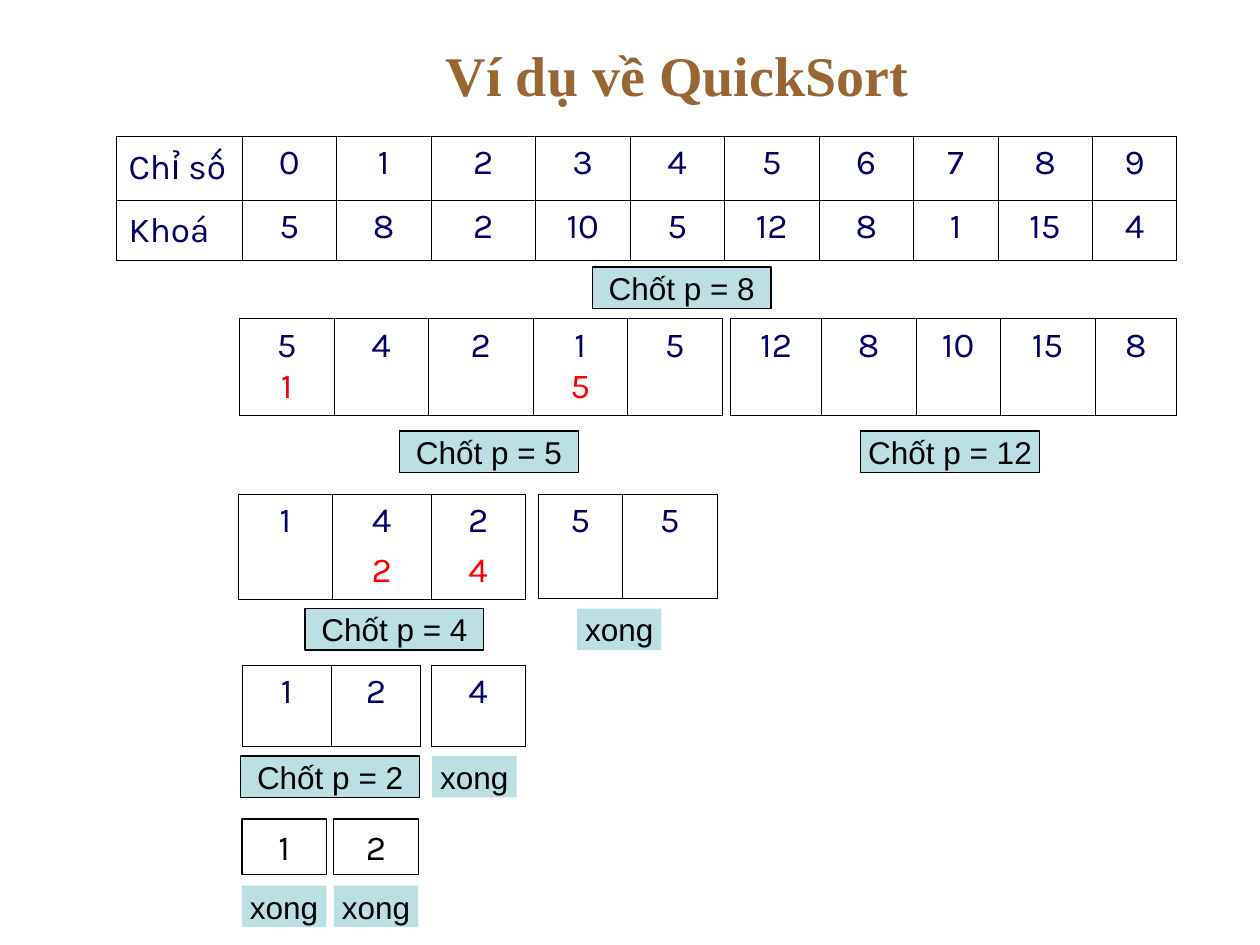
from dataclasses import dataclass

from lxml.etree import SubElement
from pptx import Presentation
from pptx.dml.color import RGBColor
from pptx.enum.shapes import MSO_SHAPE as Shape
from pptx.enum.text import MSO_ANCHOR as Anchor, PP_ALIGN as Align
from pptx.oxml.ns import qn
from pptx.slide import Slide
from pptx.util import Inches, Pt

NAVY = RGBColor(0x00, 0x00, 0x66)
RED = RGBColor(0xFF, 0x00, 0x00)
BROWN = RGBColor(0x99, 0x66, 0x33)
TEAL = RGBColor(0xBB, 0xE0, 0xE3)
BLACK = RGBColor(0x00, 0x00, 0x00)


@dataclass
class Grid:
    left: float
    top: float
    cols: list[float]
    rows: list[float]
    texts: list[list[str]]
    gap: float = 0


@dataclass
class Box:
    left: float
    top: float
    text: str
    width: float = 0.67
    height: float = 0.33
    fill: RGBColor | None = TEAL
    edge: bool = False
    face: str = "Arial"
    size: float = 18


def style(para, face: str, size: float, color: RGBColor, align=Align.CENTER):
    para.alignment = align
    for run in para.runs:
        run.font.name = face
        run.font.size = Pt(size)
        run.font.color.rgb = color


def pad(frame):
    frame.margin_left = frame.margin_right = Inches(0.1)
    frame.margin_top = frame.margin_bottom = Inches(0.05)


def rule(cell):
    props = cell._tc.get_or_add_tcPr()
    for side in ("lnL", "lnR", "lnT", "lnB"):
        line = SubElement(props, qn(f"a:{side}"), w=str(Pt(0.45)))
        fill = SubElement(line, qn("a:solidFill"))
        SubElement(fill, qn("a:srgbClr"), val=str(BLACK))


def draw_grid(slide: Slide, grid: Grid):
    table = slide.shapes.add_table(
        len(grid.rows), len(grid.cols), Inches(grid.left), Inches(grid.top),
        Inches(sum(grid.cols)), Inches(sum(grid.rows))).table
    table.first_row = table.horz_banding = False
    for col, width in zip(table.columns, grid.cols):
        col.width = Inches(width)
    for row, height, texts in zip(table.rows, grid.rows, grid.texts):
        row.height = Inches(height)
        for cell, text in zip(row.cells, texts):
            rule(cell)
            cell.fill.background()
            pad(cell)
            head = text[0].isalpha()
            cell.vertical_anchor = Anchor.MIDDLE if head else Anchor.TOP
            cell.text_frame.text = text
            for rank, para in enumerate(cell.text_frame.paragraphs):
                style(para, "Karla", 20, RED if rank else NAVY,
                      Align.LEFT if head else Align.CENTER)
                if rank:
                    para.space_before = Pt(grid.gap)


def draw_box(slide: Slide, box: Box):
    shape = slide.shapes.add_shape(
        Shape.RECTANGLE, Inches(box.left), Inches(box.top),
        Inches(box.width), Inches(box.height))
    shape.shadow.inherit = False
    if box.fill is None:
        shape.fill.background()
    else:
        shape.fill.solid()
        shape.fill.fore_color.rgb = box.fill
    if box.edge:
        shape.line.color.rgb = BLACK
        shape.line.width = Pt(0.75)
    else:
        shape.line.fill.background()
    frame = shape.text_frame
    pad(frame)
    frame.word_wrap = box.fill is None
    frame.vertical_anchor = Anchor.MIDDLE
    frame.text = box.text
    style(frame.paragraphs[0], box.face, box.size, BLACK)


def draw_title(slide: Slide, text: str):
    frame = slide.shapes.add_textbox(
        Inches(1.25), Inches(0.3), Inches(8.25), Inches(0.58)).text_frame
    frame.word_wrap = True
    frame.vertical_anchor = Anchor.MIDDLE
    frame.text = text
    para = frame.paragraphs[0]
    style(para, "Times New Roman", 32, BROWN)
    para.runs[0].font.bold = True


def pivot(left: float, top: float, value: int) -> Box:
    return Box(left, top, f"Chốt p = {value}", width=1.42, edge=True)


def done(left: float, top: float) -> Box:
    return Box(left, top, "xong")


def single(left: float, text: str) -> Box:
    return Box(left, 6.5, text, height=0.44, fill=None, edge=True,
               face="Karla", size=20)


GRIDS = [
    Grid(0.92, 1.08,
         [1, 0.75, 0.75, 0.83, 0.75, 0.75, 0.75, 0.75, 0.67, 0.75, 0.67],
         [0.51, 0.48],
         [["Chỉ số", *map(str, range(10))],
          ["Khoá", "5", "8", "2", "10", "5", "12", "8", "1", "15", "4"]]),
    Grid(1.9, 2.53, [0.75, 0.75, 0.83, 0.75, 0.75], [0.77],
         [["5\n1", "4", "2", "1\n5", "5"]]),
    Grid(5.8, 2.53, [0.72, 0.75, 0.67, 0.75, 0.65], [0.77],
         [["12", "8", "10", "15", "8"]]),
    Grid(1.89, 3.92, [0.75, 0.78, 0.75], [0.84],
         [["1", "4\n2", "2\n4"]], gap=5),
    Grid(4.27, 3.92, [0.67, 0.75], [0.83], [["5", "5"]]),
    Grid(1.92, 5.28, [0.71, 0.71], [0.64], [["1", "2"]]),
    Grid(3.42, 5.28, [0.75], [0.64], [["4"]]),
]

BOXES = [
    pivot(4.7, 2.12, 8),
    pivot(3.17, 3.42, 5),
    pivot(6.83, 3.42, 12),
    pivot(2.42, 4.83, 4),
    done(4.58, 4.83),
    pivot(1.91, 6, 2),
    done(3.43, 6),
    single(1.92, "1"),
    single(2.65, "2"),
    done(1.92, 7.03),
    done(2.65, 7.03),
]


def main():
    deck = Presentation()
    deck.slide_width, deck.slide_height = Inches(10), Inches(7.5)
    slide = deck.slides.add_slide(deck.slide_layouts[6])
    draw_title(slide, "Ví dụ về QuickSort")
    for grid in GRIDS:
        draw_grid(slide, grid)
    for box in BOXES:
        draw_box(slide, box)
    deck.save("out.pptx")


if __name__ == "__main__":
    main()
